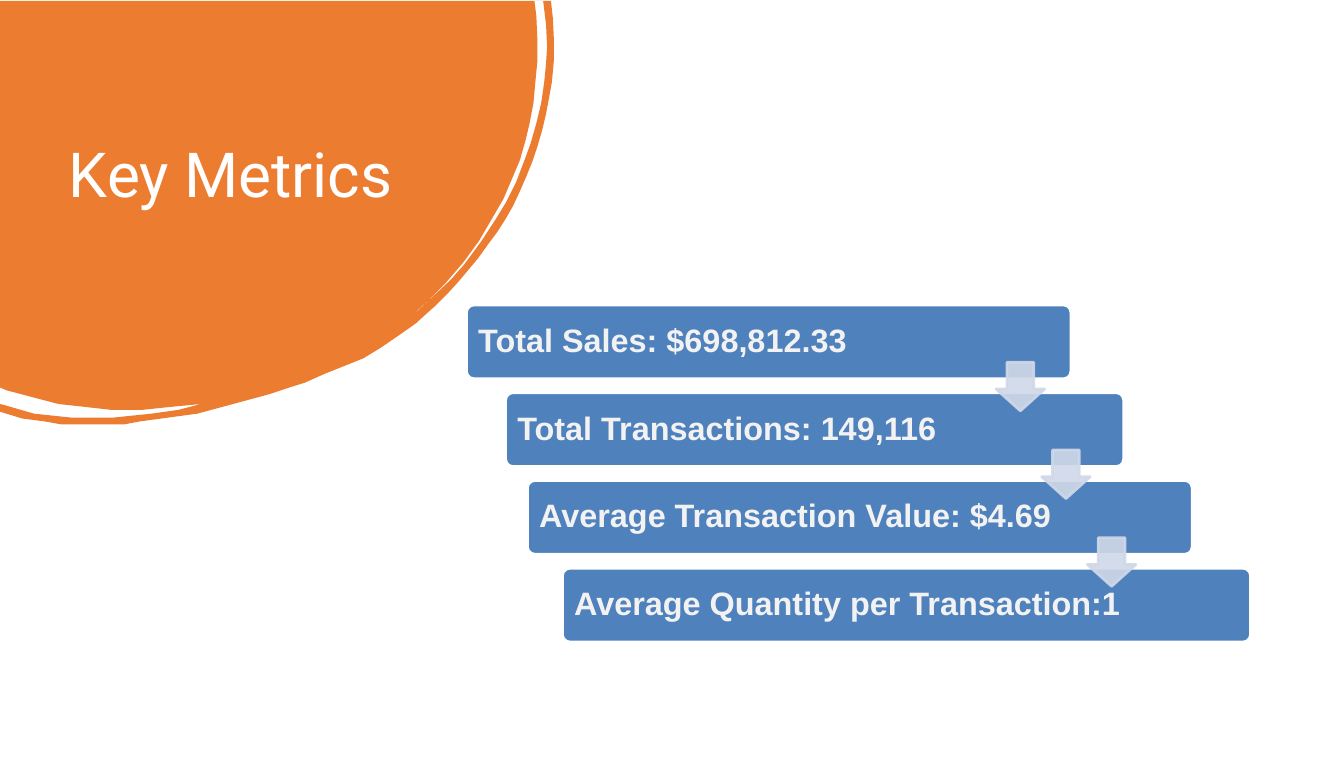
import pptx
import pptx.util
import pptx.dml.color
import pptx.enum.shapes
import pptx.enum.text
import pptx.oxml
import pptx.oxml.ns

Pt = pptx.util.Pt
SHAPE = pptx.enum.shapes.MSO_SHAPE
ANCHOR = pptx.enum.text.MSO_ANCHOR

TITLE = "Key Metrics"
METRICS = [
    ("Total Sales: $698,812.33", 345.6, 447.8),
    ("Total Transactions: 149,116", 374.6, 457.9),
    ("Average Transaction Value: $4.69", 390.8, 492.5),
    ("Average Quantity per Transaction:1", 416.7, 509.8),
]
THEME = {
    "blob": "EC7C30", "bar": "4F81BD", "arrow": "D0D8E8",
    "white": "FFFFFF", "bar_text": "F2F2F2",
    "title_font": "Roboto", "title_size": 46,
    "bar_font": "Arial", "bar_size": 24, "line": 2,
}
SLIDE_W, SLIDE_H = 995.76, 576
BAR_TOP, BAR_H, PITCH = 226.1, 54.7, 65.05
ARROW_X, ARROW_TOP, ARROW_SIZE, ARROW_STEP = 738, 268.6, 36, 33.8

BLOB_UNIT = 0.72
BLOB_EDGE = [
    (0, 1), (567, 1), (569, 19), (570, 41), (570, 62), (568, 84), (565, 101),
    (562, 117), (558, 134), (553, 151), (548, 166), (542, 181), (535, 197),
    (528, 212), (520, 226), (511, 240), (502, 252), (492, 266), (482, 278),
    (471, 291), (460, 303), (448, 315), (440, 322), (428, 333), (411, 345),
    (392, 358), (374, 369), (354, 377), (334, 385), (314, 394), (298, 399),
    (277, 406), (203, 426), (166, 431), (144, 434), (128, 437), (63, 437),
    (46, 434), (23, 431), (0, 424),
]
UPPER_GAP = [
    (550, 1), (552, 17), (553, 41), (553, 63), (551, 84), (549, 106),
    (545, 127), (541, 144), (535, 165), (527, 184), (518, 205), (507, 224),
    (493, 248), (477, 270), (459, 291), (440, 310), (427, 322), (430, 320),
    (448, 303), (464, 288), (478, 272), (495, 249), (510, 226), (521, 208),
    (531, 188), (539, 167), (546, 148), (552, 127), (557, 106), (560, 85),
    (562, 65), (563, 48), (562, 26), (559, 1),
]
LOWER_GAP = [
    (0, 399), (7, 402), (60, 416), (87, 419), (114, 422), (147, 422),
    (176, 419), (207, 416), (184, 422), (156, 426), (117, 430), (73, 430),
    (35, 426), (4, 417), (0, 416),
]


def rgb(name):
    return pptx.dml.color.RGBColor.from_string(THEME[name])


def write(sp, text, font, size, color, bold=False, anchor=ANCHOR.TOP, margins=(0, 0, 0, 0), spacing=1.0):
    tf = sp.text_frame
    tf.word_wrap = True
    tf.vertical_anchor = anchor
    tf.margin_left, tf.margin_top, tf.margin_right, tf.margin_bottom = map(Pt, margins)
    p = tf.paragraphs[0]
    p.alignment = pptx.enum.text.PP_ALIGN.LEFT
    p.line_spacing = spacing
    r = p.add_run()
    r.text = text
    r.font.name = THEME[font]
    r.font.size = Pt(THEME[size])
    r.font.bold = bold
    r.font.color.rgb = rgb(color)


def paint(sp, fill, line=None, opacity=None):
    sp.shadow.inherit = False
    sp.fill.solid()
    sp.fill.fore_color.rgb = rgb(fill)
    if line is None:
        sp.line.fill.background()
    else:
        sp.line.color.rgb = rgb(line)
        sp.line.width = Pt(THEME["line"])
    if opacity is not None:
        for clr in sp._element.spPr.iter(pptx.oxml.ns.qn("a:srgbClr")):
            alpha = clr.makeelement(pptx.oxml.ns.qn("a:alpha"), {"val": str(opacity * 1000)})
            clr.append(alpha)


def add_shape(s, kind, x, y, w, h, adjustments):
    sp = s.shapes.add_shape(kind, Pt(x), Pt(y), Pt(w), Pt(h))
    for i, value in enumerate(adjustments):
        sp.adjustments[i] = value
    return sp


def add_blob(s):
    fb = s.shapes.build_freeform(*BLOB_EDGE[0], scale=Pt(BLOB_UNIT))
    fb.add_line_segments(BLOB_EDGE[1:], close=True)
    for gap in (UPPER_GAP, LOWER_GAP):
        fb.move_to(*gap[0])
        fb.add_line_segments(gap[1:], close=True)
    paint(fb.convert_to_shape(), "blob")


def add_title(s):
    title = s.shapes.title
    title.left, title.top, title.width, title.height = map(Pt, (51.1, 100.1, 258.5, 56.9))
    title.text_frame.auto_size = pptx.enum.text.MSO_AUTO_SIZE.NONE
    write(title, TITLE, "title_font", "title_size", "white")
    s.shapes._spTree.append(title._element)


def main():
    """Build the key metrics slide."""
    prs = pptx.Presentation()
    prs.slide_width, prs.slide_height = Pt(SLIDE_W), Pt(SLIDE_H)
    s = prs.slides.add_slide(prs.slide_layouts[5])
    add_blob(s)
    add_title(s)
    for i, (text, x, w) in enumerate(METRICS):
        bar = add_shape(s, SHAPE.ROUNDED_RECTANGLE, x, BAR_TOP + i * PITCH, w, BAR_H, [0.1])
        paint(bar, "bar", "white")
        write(bar, text, "bar_font", "bar_size", "bar_text", bold=True,
              anchor=ANCHOR.MIDDLE, margins=(7.2, 7.2, 7.2, 7.2), spacing=0.9)
    for i in range(len(METRICS) - 1):
        arrow = add_shape(s, SHAPE.DOWN_ARROW, ARROW_X + i * ARROW_STEP, ARROW_TOP + i * PITCH,
                          ARROW_SIZE, ARROW_SIZE, [0.55, 0.45])
        paint(arrow, "arrow", "arrow", opacity=90)
    prs.save("out.pptx")


if __name__ == "__main__":
    main()
